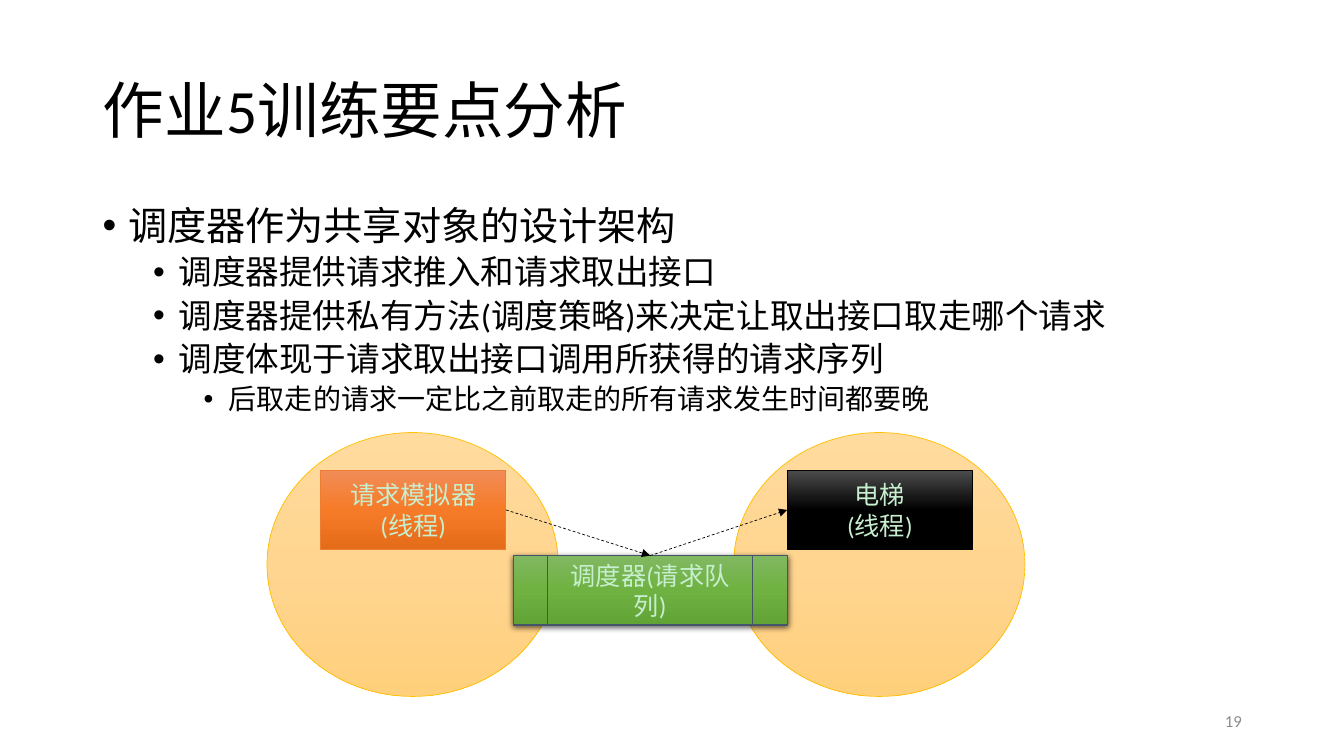
from dataclasses import dataclass

from lxml import etree
from copy import deepcopy
from pptx import Presentation
from pptx.dml.color import RGBColor
from pptx.enum.dml import MSO_LINE
from pptx.enum.shapes import MSO_CONNECTOR, MSO_SHAPE
from pptx.enum.text import MSO_ANCHOR, MSO_AUTO_SIZE, PP_ALIGN
from pptx.oxml import parse_xml
from pptx.oxml.ns import nsdecls, qn
from pptx.util import Cm, Pt

OVAL, RECTANGLE = MSO_SHAPE.OVAL, MSO_SHAPE.RECTANGLE
PROCESS = MSO_SHAPE.FLOWCHART_PREDEFINED_PROCESS
STRAIGHT, DASH = MSO_CONNECTOR.STRAIGHT, MSO_LINE.DASH
TOP, MIDDLE = MSO_ANCHOR.TOP, MSO_ANCHOR.MIDDLE
LEFT, CENTER, RIGHT = PP_ALIGN.LEFT, PP_ALIGN.CENTER, PP_ALIGN.RIGHT
NO_AUTOFIT = MSO_AUTO_SIZE.NONE
TOP_SIDE, LEFT_SIDE, RIGHT_SIDE = 0, 1, 3


@dataclass(frozen=True)
class Theme:
    font: str = "Calibri"
    ink: str = "000000"
    pale_green: str = "C7EECE"
    grey: str = "8C8C8C"
    gold: tuple = ("FFDB9E", "FFD590", "FFD07C")
    gold_line: str = "FFC000"
    orange: tuple = ("F18C57", "F67B28", "E56C19")
    orange_line: str = "ED7D31"
    black: tuple = ("4B4B4B", "000000", "000000")
    green: tuple = ("81B861", "6FB242", "62A336")
    green_line: str = "44546A"
    title_size: int = 44
    bullet_sizes: tuple = (28, 24, 20)
    label_size: int = 18
    number_size: int = 12


@dataclass(frozen=True)
class Area:
    left: float
    top: float
    width: float
    height: float

    def lengths(self) -> tuple:
        return tuple(Cm(value) for value in (self.left, self.top, self.width, self.height))


@dataclass(frozen=True)
class Bullet:
    text: str
    level: int = 0


@dataclass(frozen=True)
class Node:
    kind: int
    area: Area
    gradient: tuple
    line: str
    line_width: float = 0.5
    lines: tuple = ()
    shadow: bool = False


THEME = Theme()
TITLE_AREA = Area(2.34, 1.02, 29.21, 3.68)
BODY_AREA = Area(2.34, 5.08, 29.21, 6.02)
NUMBER_AREA = Area(23.93, 17.65, 7.62, 1.02)

BULLETS = (
    Bullet("调度器作为共享对象的设计架构"),
    Bullet("调度器提供请求推入和请求取出接口", 1),
    Bullet("调度器提供私有方法(调度策略)来决定让取出接口取走哪个请求", 1),
    Bullet("调度体现于请求取出接口调用所获得的请求序列", 1),
    Bullet("后取走的请求一定比之前取走的所有请求发生时间都要晚", 2),
)

ZONES = tuple(
    Node(OVAL, Area(left, 10.9, 7.34, 6.65), THEME.gold, THEME.gold_line)
    for left in (18.49, 6.73)
)
SIMULATOR = Node(RECTANGLE, Area(8.08, 11.86, 4.67, 1.98), THEME.orange,
                 THEME.orange_line, lines=("请求模拟器", "(线程)"))
ELEVATOR = Node(RECTANGLE, Area(19.84, 11.86, 4.67, 1.98), THEME.black,
                THEME.ink, lines=("电梯", "(线程)"))
SCHEDULER = Node(PROCESS, Area(12.93, 14, 6.91, 1.75), THEME.green,
                 THEME.green_line, 0.75, ("调度器(请求队列)",), True)


def set_all(target, formats: dict) -> None:
    for name, value in formats.items():
        setattr(target, name, value)


def prepare_frame(shape, anchor):
    frame = shape.text_frame
    set_all(frame, {"word_wrap": True, "auto_size": NO_AUTOFIT, "vertical_anchor": anchor})
    return frame


def write_lines(frame, lines: tuple, size: int, color: str, **para_formats) -> None:
    for index, text in enumerate(lines):
        para = frame.add_paragraph() if index else frame.paragraphs[0]
        set_all(para, para_formats)
        span = para.add_run()
        span.text = text
        set_all(span.font, {"name": THEME.font, "size": Pt(size)})
        span.font.color.rgb = RGBColor.from_string(color)


def add_title(page, text: str) -> None:
    title = page.shapes.title
    set_all(title, dict(zip(("left", "top", "width", "height"), TITLE_AREA.lengths())))
    write_lines(prepare_frame(title, MIDDLE), (text,), THEME.title_size, THEME.ink,
                alignment=LEFT, line_spacing=0.9)


def add_bullets(page, bullets: tuple) -> None:
    frame = prepare_frame(page.shapes.add_textbox(*BODY_AREA.lengths()), TOP)
    write_lines(frame, tuple(bullet.text for bullet in bullets),
                THEME.bullet_sizes[0], THEME.ink, line_spacing=0.9)
    for para, bullet in zip(frame.paragraphs, bullets):
        set_all(para, {"level": bullet.level, "space_before": Pt(5 if bullet.level else 10)})
        para.runs[0].font.size = Pt(THEME.bullet_sizes[bullet.level])
        properties = para._p.get_or_add_pPr()
        properties.set("marL", str(Cm(0.64 + 1.27 * bullet.level)))
        properties.set("indent", str(Cm(-0.64)))
        etree.SubElement(properties, qn("a:buFont"), typeface="Arial")
        etree.SubElement(properties, qn("a:buChar"), char="•")


def add_page_number(page, number: str) -> None:
    frame = prepare_frame(page.shapes.add_textbox(*NUMBER_AREA.lengths()), MIDDLE)
    write_lines(frame, (number,), THEME.number_size, THEME.grey, alignment=RIGHT)


def fill_downward(shape, colors: tuple) -> None:
    """Fill with evenly spaced gradient stops from top to bottom."""
    fill = shape.fill
    fill.gradient()
    fill.gradient_angle = 270
    stop_list = shape._element.spPr.find(f".//{qn('a:gsLst')}")
    while len(stop_list) < len(colors):
        stop_list.append(deepcopy(stop_list[0]))
    for index, (stop, color) in enumerate(zip(fill.gradient_stops, colors)):
        stop.position = index / (len(colors) - 1)
        stop.color.rgb = RGBColor.from_string(color)


def add_shadow(shape) -> None:
    effects = shape._element.spPr.find(qn("a:effectLst"))
    effects.append(parse_xml(
        f'<a:outerShdw {nsdecls("a")} blurRad="{Pt(4.5)}" dist="{Pt(1.5)}" '
        'dir="5400000" algn="ctr" rotWithShape="0">'
        f'<a:srgbClr val="{THEME.ink}"><a:alpha val="63000"/></a:srgbClr></a:outerShdw>'))


def add_node(page, node: Node):
    shape = page.shapes.add_shape(node.kind, *node.area.lengths())
    fill_downward(shape, node.gradient)
    shape.line.color.rgb = RGBColor.from_string(node.line)
    shape.line.width = Pt(node.line_width)
    shape.shadow.inherit = False
    if node.shadow:
        add_shadow(shape)
    write_lines(prepare_frame(shape, MIDDLE), node.lines, THEME.label_size,
                THEME.pale_green, alignment=CENTER)
    return shape


def add_arrow(page, source, source_side: int, target, target_side: int) -> None:
    arrow = page.shapes.add_connector(STRAIGHT, 0, 0, 0, 0)
    arrow.begin_connect(source, source_side)
    arrow.end_connect(target, target_side)
    set_all(arrow.line, {"width": Pt(0.5), "dash_style": DASH})
    arrow.line.color.rgb = RGBColor.from_string(THEME.ink)
    etree.SubElement(arrow.line._get_or_add_ln(), qn("a:tailEnd"), type="triangle")
    etree.SubElement(arrow._element.spPr, qn("a:effectLst"))


def main() -> None:
    deck = Presentation()
    set_all(deck, {"slide_width": Cm(33.87), "slide_height": Cm(19.05)})
    page = deck.slides.add_slide(deck.slide_layouts.get_by_name("Title Only"))
    add_title(page, "作业5训练要点分析")
    add_bullets(page, BULLETS)
    add_page_number(page, "19")
    for zone in ZONES:
        add_node(page, zone)
    simulator, elevator, scheduler = (
        add_node(page, node) for node in (SIMULATOR, ELEVATOR, SCHEDULER))
    add_arrow(page, simulator, RIGHT_SIDE, scheduler, TOP_SIDE)
    add_arrow(page, scheduler, TOP_SIDE, elevator, LEFT_SIDE)
    deck.save("out.pptx")


if __name__ == "__main__":
    main()
